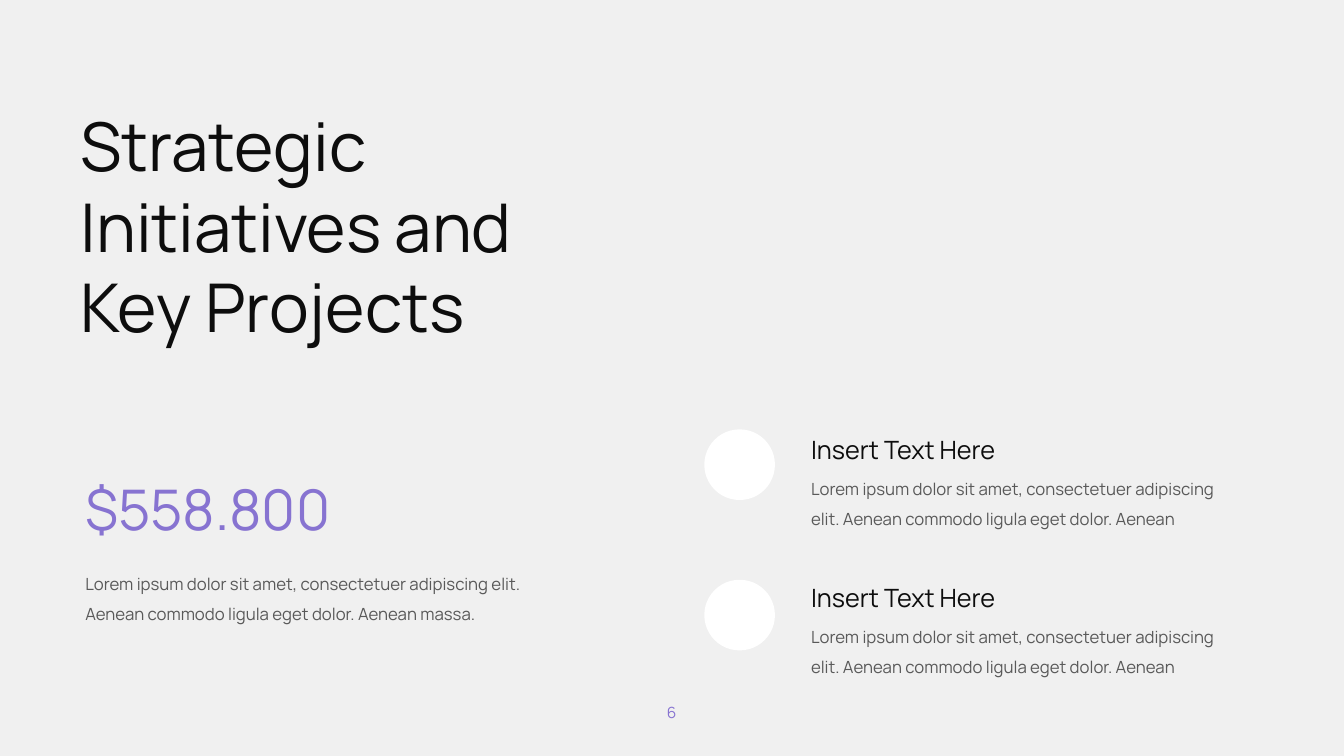
from dataclasses import dataclass

import pptx
import pptx.dml.color
import pptx.enum.shapes
import pptx.enum.text
import pptx.slide
import pptx.util
from pptx.util import Cm


@dataclass(frozen=True)
class Theme:
    font: str = "Manrope"
    background: str = "F0F0F0"
    ink: str = "0D0D0D"
    muted: str = "595959"
    accent: str = "8773D1"
    marker: str = "FFFFFF"
    title_size: int = 48
    amount_size: int = 40
    heading_size: int = 18
    body_size: int = 12
    number_size: int = 11


@dataclass(frozen=True)
class Box:
    """A rectangle in centimetres."""
    left: float
    top: float
    width: float
    height: float

    def lengths(self) -> tuple[Cm, Cm, Cm, Cm]:
        return Cm(self.left), Cm(self.top), Cm(self.width), Cm(self.height)


@dataclass(frozen=True)
class Initiative:
    heading: str
    description: str


THEME = Theme()
INITIATIVES = [
    Initiative(
        "Insert Text Here",
        "Lorem ipsum dolor sit amet, consectetuer adipiscing elit. "
        "Aenean commodo ligula eget dolor. Aenean",
    )
] * 2
INITIATIVE_TOP = 10.82
TEXT_PITCH = 3.73
MARKER_PITCH = 3.79


def rgb(color: str) -> pptx.dml.color.RGBColor:
    return pptx.dml.color.RGBColor.from_string(color)


def add_text(
    slide: pptx.slide.Slide,
    box: Box,
    text: str,
    *,
    size: int,
    color: str = THEME.ink,
    align: pptx.enum.text.PP_ALIGN = pptx.enum.text.PP_ALIGN.LEFT,
    anchor: pptx.enum.text.MSO_ANCHOR = pptx.enum.text.MSO_ANCHOR.TOP,
    line_spacing: float = 1.0,
    space_before: int = 0,
) -> None:
    frame = slide.shapes.add_textbox(*box.lengths()).text_frame
    frame.word_wrap = True
    frame.auto_size = pptx.enum.text.MSO_AUTO_SIZE.SHAPE_TO_FIT_TEXT
    frame.vertical_anchor = anchor
    paragraph = frame.paragraphs[0]
    paragraph.alignment = align
    paragraph.line_spacing = line_spacing
    paragraph.space_before = pptx.util.Pt(space_before)
    run = paragraph.add_run()
    run.text = text
    run.font.name = THEME.font
    run.font.size = pptx.util.Pt(size)
    run.font.color.rgb = rgb(color)


def add_body(slide: pptx.slide.Slide, box: Box, text: str) -> None:
    add_text(slide, box, text, size=THEME.body_size, color=THEME.muted,
             line_spacing=1.5, space_before=8)


def add_marker(slide: pptx.slide.Slide, box: Box) -> None:
    shape = slide.shapes.add_shape(
        pptx.enum.shapes.MSO_SHAPE.OVAL, *box.lengths())
    shape.shadow.inherit = False
    shape.fill.solid()
    shape.fill.fore_color.rgb = rgb(THEME.marker)
    shape.line.fill.background()


def add_initiative(
    slide: pptx.slide.Slide, initiative: Initiative, index: int
) -> None:
    text_top = INITIATIVE_TOP + index * TEXT_PITCH
    marker_top = INITIATIVE_TOP + index * MARKER_PITCH
    add_marker(slide, Box(17.75, marker_top, 1.78, 1.78))
    add_text(slide, Box(20.19, text_top, 11.2, 1.02), initiative.heading,
             size=THEME.heading_size)
    add_body(slide, Box(20.19, text_top + 0.86, 11.18, 1.73),
             initiative.description)


def main() -> None:
    presentation = pptx.Presentation()
    presentation.slide_width = Cm(33.87)
    presentation.slide_height = Cm(19.05)
    slide = presentation.slides.add_slide(presentation.slide_layouts[6])
    slide.background.fill.solid()
    slide.background.fill.fore_color.rgb = rgb(THEME.background)

    add_text(slide, Box(1.78, 2.51, 13.82, 6.4),
             "Strategic Initiatives and Key Projects", size=THEME.title_size)
    add_text(slide, Box(1.9, 11.84, 8.51, 1.96), "$558.800",
             size=THEME.amount_size, color=THEME.accent)
    add_body(slide, Box(1.9, 14.07, 12.7, 1.73),
             "Lorem ipsum dolor sit amet, consectetuer adipiscing elit. "
             "Aenean commodo ligula eget dolor. Aenean massa.")
    for index, initiative in enumerate(INITIATIVES):
        add_initiative(slide, initiative, index)
    add_text(slide, Box(15.75, 17.58, 2.36, 0.74), "6",
             size=THEME.number_size, color=THEME.accent,
             align=pptx.enum.text.PP_ALIGN.CENTER,
             anchor=pptx.enum.text.MSO_ANCHOR.MIDDLE)

    presentation.save("out.pptx")


if __name__ == "__main__":
    main()
